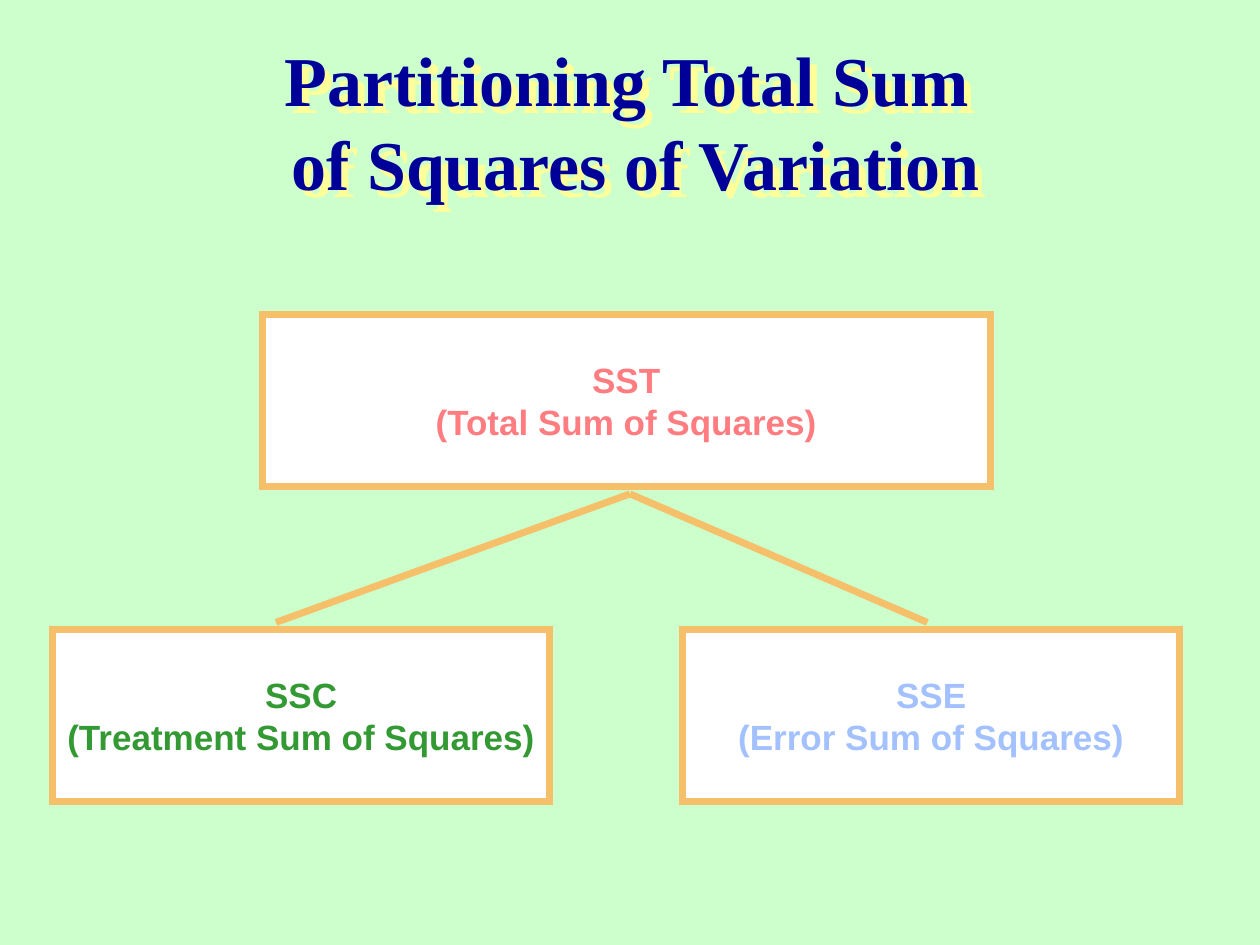
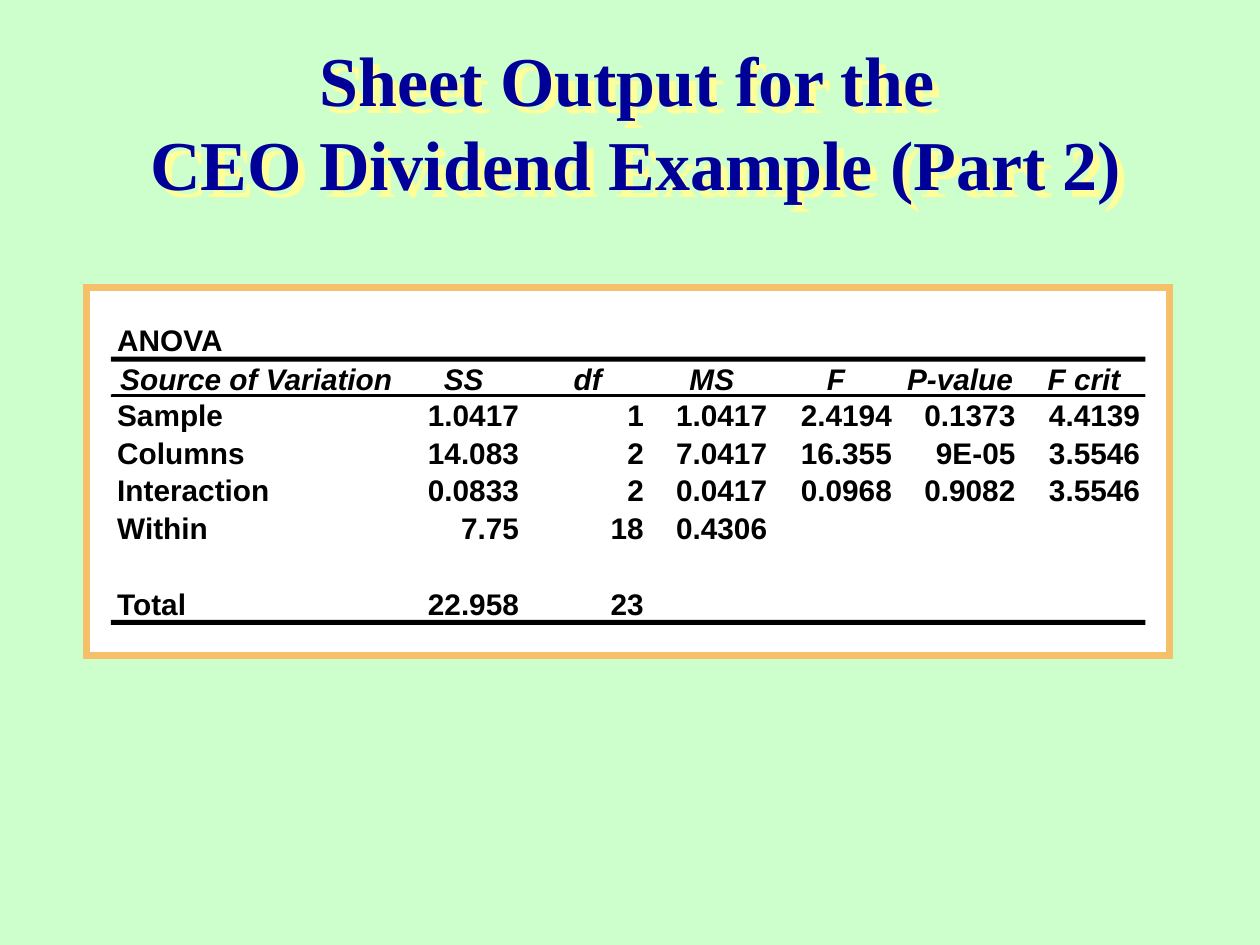
from lxml import etree
from pptx import Presentation
from pptx.dml.color import RGBColor
from pptx.enum.shapes import MSO_CONNECTOR, MSO_SHAPE
from pptx.enum.text import MSO_ANCHOR, PP_ALIGN
from pptx.oxml.ns import qn
from pptx.util import Inches, Pt

RECT = MSO_SHAPE.RECTANGLE
STRAIGHT = MSO_CONNECTOR.STRAIGHT
MIDDLE, BOTTOM = MSO_ANCHOR.MIDDLE, MSO_ANCHOR.BOTTOM
LEFT, CENTER, RIGHT = PP_ALIGN.LEFT, PP_ALIGN.CENTER, PP_ALIGN.RIGHT

COLORS = {
    "background": "CCFFCC",
    "title": "000099",
    "title_shadow": "FFFF99",
    "panel": "FFFFFF",
    "outline": "F6BF69",
    "total": "FF7C80",
    "treatment": "339933",
    "error": "A2C1FE",
    "ink": "000000",
}
TITLE_FONT = {"name": "Times New Roman", "size": Pt(40), "bold": True}
BOX_FONT = {"name": "Arial", "size": Pt(20), "bold": True}
TABLE_FONT = {"name": "Arial", "size": Pt(17), "bold": True}

SUM_BOXES = [
    ("SST", "(Total Sum of Squares)", "total", (2.08, 2.5, 5.78, 1.36)),
    ("SSC", "(Treatment Sum of Squares)", "treatment", (0.42, 5, 3.94, 1.36)),
    ("SSE", "(Error Sum of Squares)", "error", (5.42, 5, 3.94, 1.36)),
]
BRANCH_START = (5, 3.92)
BRANCH_ENDS = [(2.19, 4.94), (7.36, 4.94)]

ANOVA_ROWS = [
    ["ANOVA"],
    ["Source of Variation", "SS", "df", "MS", "F", "P-value", "F crit"],
    ["Sample", "1.0417", "1", "1.0417", "2.4194", "0.1373", "4.4139"],
    ["Columns", "14.083", "2", "7.0417", "16.355", "9E-05", "3.5546"],
    ["Interaction", "0.0833", "2", "0.0417", "0.0968", "0.9082", "3.5546"],
    ["Within", "7.75", "18", "0.4306"],
    ["Total", "22.958", "23"],
]
HEADER_ROW = 1
COLUMN_WIDTHS = [2.31] + [0.98, 0.99] * 3
ROW_HEIGHTS = [0.3, 0.31, 0.28, 0.3, 0.3, 0.3, 0.6]
RULES = [(2.83, 0.04), (3.13, 0.02), (4.92, 0.04)]


def rgb(key):
    """Return the named colour."""
    return RGBColor.from_string(COLORS[key])


def inches(values):
    """Turn numbers into lengths."""
    return [Inches(v) for v in values]


def set_attrs(obj, values):
    """Set each attribute of obj from a dict."""
    for name, value in values.items():
        setattr(obj, name, value)


def write(p, text, font, color, align):
    """Put one formatted text into a paragraph."""
    p.alignment = align
    p.text = text
    for r in p.runs:
        set_attrs(r.font, font)
        r.font.color.rgb = rgb(color)


def add_effects(sp, shadow=None):
    """Give a shape an effect list, with a shadow colour if named."""
    effects = etree.SubElement(sp._element.spPr, qn("a:effectLst"))
    if shadow:
        outer = etree.SubElement(effects, qn("a:outerShdw"), dist="71842",
                                 dir="2700000", algn="ctr", rotWithShape="0")
        etree.SubElement(outer, qn("a:srgbClr"), val=COLORS[shadow])


def add_slide(prs, title):
    """Add a blank slide with the background and its shadowed title."""
    s = prs.slides.add_slide(prs.slide_layouts[6])
    s.background.fill.solid()
    s.background.fill.fore_color.rgb = rgb("background")
    sp = s.shapes.add_textbox(*inches((0.42, 0.33, 9.25, 1.25)))
    add_effects(sp, "title_shadow")
    tf = sp.text_frame
    set_attrs(tf, {"word_wrap": True, "vertical_anchor": MIDDLE})
    write(tf.paragraphs[0], title, TITLE_FONT, "title", CENTER)
    return s


def add_rect(s, box, color):
    """Add a plain rectangle without outline."""
    sp = s.shapes.add_shape(RECT, *inches(box))
    sp.shadow.inherit = False
    sp.fill.solid()
    sp.fill.fore_color.rgb = rgb(color)
    sp.line.fill.background()
    return sp


def set_line(sp, color, points):
    """Colour a line and set its width."""
    sp.line.color.rgb = rgb(color)
    sp.line.width = Pt(points)


def add_panel(s, box):
    """Add a white rectangle with a sharp-cornered orange outline."""
    sp = add_rect(s, box, "panel")
    set_line(sp, "outline", 4)
    etree.SubElement(sp.line._get_or_add_ln(), qn("a:miter"), lim="800000")
    return sp


def add_sum_box(s, symbol, meaning, color, box):
    """Add a panel naming one sum of squares."""
    tf = add_panel(s, box).text_frame
    set_attrs(tf, {"word_wrap": False, "vertical_anchor": MIDDLE})
    for p, text in zip((tf.paragraphs[0], tf.add_paragraph()), (symbol, meaning)):
        write(p, text, BOX_FONT, color, CENTER)


def add_line(s, start, end, color, points):
    """Add a straight line."""
    line = s.shapes.add_connector(STRAIGHT, *inches(start + end))
    set_line(line, color, points)
    add_effects(line)


def fill_cell(cell, text, row, col):
    """Format one cell and write its text."""
    set_attrs(cell, {"margin_left": Inches(0.05), "margin_right": Inches(0.05),
                     "margin_top": 0, "margin_bottom": 0, "vertical_anchor": BOTTOM})
    cell.fill.solid()
    cell.fill.fore_color.rgb = rgb("panel")
    p = cell.text_frame.paragraphs[0]
    header = row == HEADER_ROW
    align = CENTER if header else RIGHT if col else LEFT
    if text:
        write(p, text, {**TABLE_FONT, "italic": header}, "ink", align)
    else:
        etree.SubElement(p._p, qn("a:endParaRPr"), sz="1700")


def add_anova_table(s, left, top):
    """Add the analysis of variance table."""
    box = inches((left, top, sum(COLUMN_WIDTHS), sum(ROW_HEIGHTS)))
    table = s.shapes.add_table(len(ROW_HEIGHTS), len(COLUMN_WIDTHS), *box).table
    set_attrs(table, {"first_row": False, "horz_banding": False})
    for column, width in zip(table.columns, COLUMN_WIDTHS):
        column.width = Inches(width)
    for i, (row, height) in enumerate(zip(table.rows, ROW_HEIGHTS)):
        row.height = Inches(height)
        values = ANOVA_ROWS[i]
        for j, cell in enumerate(row.cells):
            fill_cell(cell, values[j] if j < len(values) else "", i, j)


def main():
    """Build and save the two slides."""
    prs = Presentation()
    prs.slide_width, prs.slide_height = inches((10, 7.5))

    s = add_slide(prs, "Partitioning Total Sum \vof Squares of Variation")
    for sum_box in SUM_BOXES:
        add_sum_box(s, *sum_box)
    for end in BRANCH_ENDS:
        add_line(s, BRANCH_START, end, "outline", 4)

    s = add_slide(prs, "Sheet Output for the \vCEO Dividend Example (Part 2)")
    add_panel(s, (0.69, 2.28, 8.59, 2.92))
    add_anova_table(s, 0.88, 2.54)
    for top, height in RULES:
        add_rect(s, (0.88, top, 8.21, height), "ink")
    add_line(s, (0.89, 3.13), (9.09, 3.13), "ink", 1)

    prs.save("out.pptx")


if __name__ == "__main__":
    main()
